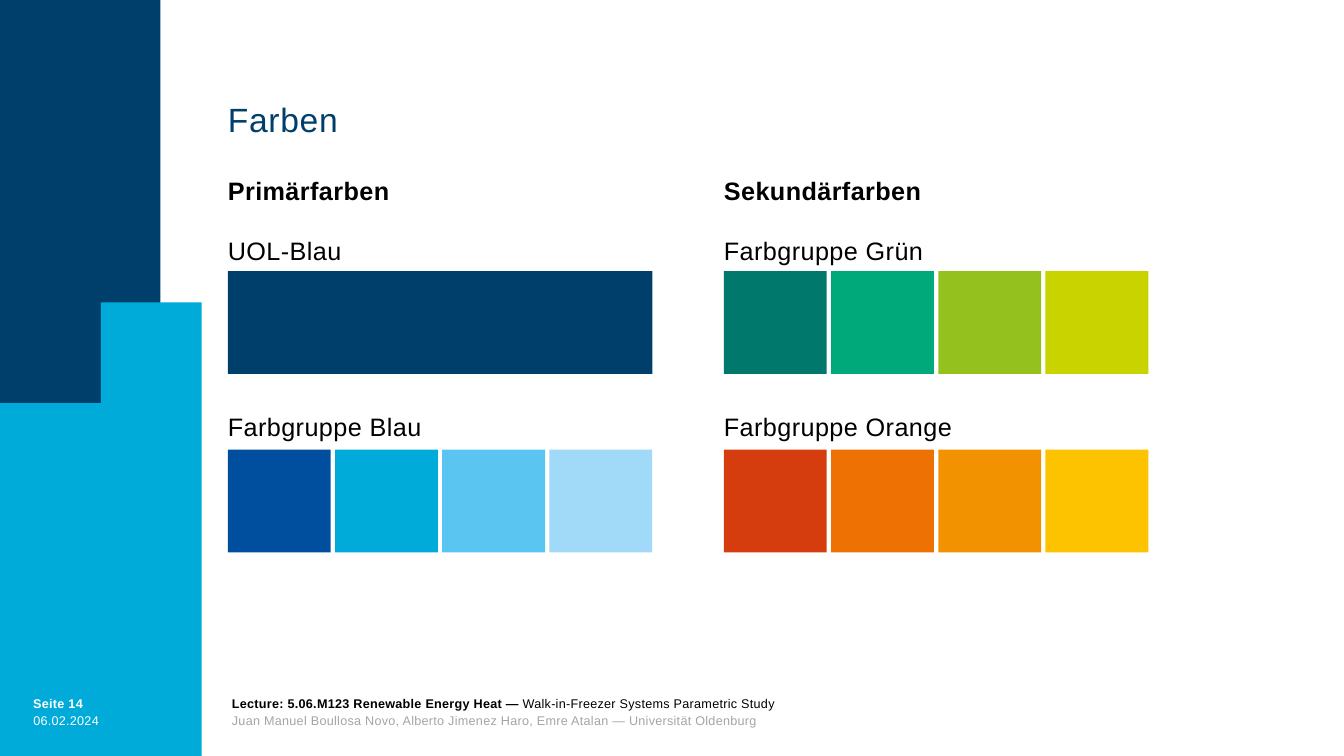
"""Build a slide that shows the primary and secondary colour groups."""
from dataclasses import dataclass
from typing import Optional

from pptx import Presentation
from pptx import util as u
from pptx.dml import color
from pptx.enum import shapes, text
from pptx.slide import Slide


@dataclass(frozen=True)
class Theme:
    """Colours, font and type sizes."""
    font: str = "Arial"
    navy: str = "003F6B"
    cyan: str = "00ABDA"
    black: str = "000000"
    white: str = "FFFFFF"
    grey: str = "A5A5A5"
    title: int = 24
    body: int = 18
    small: int = 9


THEME = Theme()


@dataclass(frozen=True)
class Run:
    """A stretch of text in one format."""
    words: str
    size: int
    ink: str
    bold: bool = False
    track: int = 20


@dataclass(frozen=True)
class Para:
    """A paragraph of runs with its spacing."""
    runs: tuple[Run, ...]
    line: float | u.Length
    before: float = 0


@dataclass(frozen=True)
class Box:
    """A text box."""
    left: float
    top: float
    width: float
    height: float
    paras: tuple[Para, ...]
    wrap: bool = False


@dataclass(frozen=True)
class Band:
    """A row of colour swatches."""
    left: float
    top: float
    hues: tuple[str, ...]
    width: float = 1.02


def paint(shape, hue: str) -> None:
    """Fill a shape without line or shadow."""
    shape.shadow.inherit = False
    shape.fill.solid()
    shape.fill.fore_color.rgb = color.RGBColor.from_string(hue)
    shape.line.fill.background()


def block(slide: Slide, left: float, top: float, width: float,
          height: float, hue: str) -> None:
    """Draw one plain rectangle."""
    area = map(u.Inches, (left, top, width, height))
    paint(slide.shapes.add_shape(shapes.MSO_SHAPE.RECTANGLE, *area), hue)


def band(slide: Slide, row: Band, step: float = 1.063) -> None:
    """Draw a row of swatches at an equal step."""
    for i, hue in enumerate(row.hues):
        block(slide, row.left + i * step, row.top, row.width, 1.02, hue)


def write(slide: Slide, box: Box) -> None:
    """Add a text box with its paragraphs."""
    area = map(u.Inches, (box.left, box.top, box.width, box.height))
    frame = slide.shapes.add_textbox(*area).text_frame
    form = {"margin_left": 0, "margin_top": 0, "margin_right": 0,
            "margin_bottom": 0, "word_wrap": box.wrap,
            "vertical_anchor": text.MSO_ANCHOR.TOP}
    for key, value in form.items():
        setattr(frame, key, value)
    for i, para in enumerate(box.paras):
        item = frame.add_paragraph() if i else frame.paragraphs[0]
        item.line_spacing = para.line
        item.alignment = text.PP_ALIGN.LEFT
        if para.before:
            item.space_before = u.Pt(para.before)
        for part in para.runs:
            run = item.add_run()
            run.text = part.words
            look = {"name": THEME.font, "size": u.Pt(part.size),
                    "bold": part.bold}
            for key, value in look.items():
                setattr(run.font, key, value)
            run.font.color.rgb = color.RGBColor.from_string(part.ink)
            run._r.get_or_add_rPr().set("spc", str(part.track))


def wave(slide: Slide, count: int = 24) -> None:
    """Draw the curved lower part of the side bar."""
    knots = ((0.09, 4.25), (0.53, 3.89), (1.0, 3.57), (1.5, 3.3))
    curve = []
    for i in range(count + 1):
        t = i / count
        parts = ((1 - t) ** 3, 3 * t * (1 - t) ** 2,
                 3 * t * t * (1 - t), t ** 3)
        curve.append(tuple(sum(w * k[axis] for w, k in zip(parts, knots))
                           for axis in (0, 1)))
    pen = slide.shapes.build_freeform(1.59, 3.26, scale=u.Inches(1))
    pen.add_line_segments([(1.59, 7.5), (0, 7.5), (0, 4.33), *curve])
    paint(pen.convert_to_shape(), THEME.cyan)


def small(words: str, ink: str, bold: bool = False) -> Run:
    """Make a run in the footer style."""
    return Run(words, THEME.small, ink, bold)


def foot(*runs: Run) -> Para:
    """Make a footer line."""
    return Para(runs, u.Pt(12))


def column(left: float, head: str, *names: str) -> Box:
    """Make a column of a heading and two group names."""
    rows = zip((head, *names), (0, 19, 102))
    paras = tuple(
        Para((Run(name, THEME.body, THEME.black, name == head, 30),),
             1.1, gap) for name, gap in rows)
    return Box(left, 1.71, 4.49, 5.04, paras, True)


LEFT, RIGHT = 2.26, 7.18
HIGH, LOW = 2.69, 4.46

BOXES: tuple[Box, ...] = (
    Box(0.33, 6.89, 1.14, 0.16,
        (foot(small("Seite 14", THEME.white, True)),)),
    Box(2.3, 6.89, 9.41, 0.4, (
        foot(small("Lecture: 5.06.M123 Renewable Energy Heat — ",
                   THEME.black, True),
             small("Walk-in-Freezer Systems Parametric Study", THEME.black)),
        foot(small("Juan Manuel Boullosa Novo, Alberto Jimenez Haro, "
                   "Emre Atalan — Universität Oldenburg", THEME.grey)))),
    Box(0.33, 7.06, 0.98, 0.23,
        (foot(small("06.02.2024", THEME.white)),)),
    Box(LEFT, 1.03, 9.41, 0.48,
        (Para((Run("Farben", THEME.title, THEME.navy, False, 50),), 0.9),),
        True),
    column(LEFT, "Primärfarben", "UOL-Blau", "Farbgruppe Blau"),
    column(RIGHT, "Sekundärfarben", "Farbgruppe Grün", "Farbgruppe Orange"),
)

BANDS: tuple[Band, ...] = (
    Band(RIGHT, HIGH, ("00786B", "00A97A", "95C11F", "C8D300")),
    Band(RIGHT, LOW, ("D53D0E", "EE7203", "F39200", "FDC300")),
    Band(LEFT, HIGH, (THEME.navy,), 4.21),
    Band(LEFT, LOW, ("004F9F", THEME.cyan, "5BC5F2", "A1DAF8")),
)


def main(name: Optional[str] = None) -> None:
    """Build and save the slide."""
    deck = Presentation()
    deck.slide_width, deck.slide_height = u.Inches(13.33), u.Inches(7.5)
    slide = deck.slides.add_slide(deck.slide_layouts[6])
    block(slide, 0, 0, 1.59, 7.5, THEME.navy)
    wave(slide)
    for box in BOXES:
        write(slide, box)
    for row in BANDS:
        band(slide, row)
    deck.save("out.pptx")


if __name__ == "__main__":
    main()
